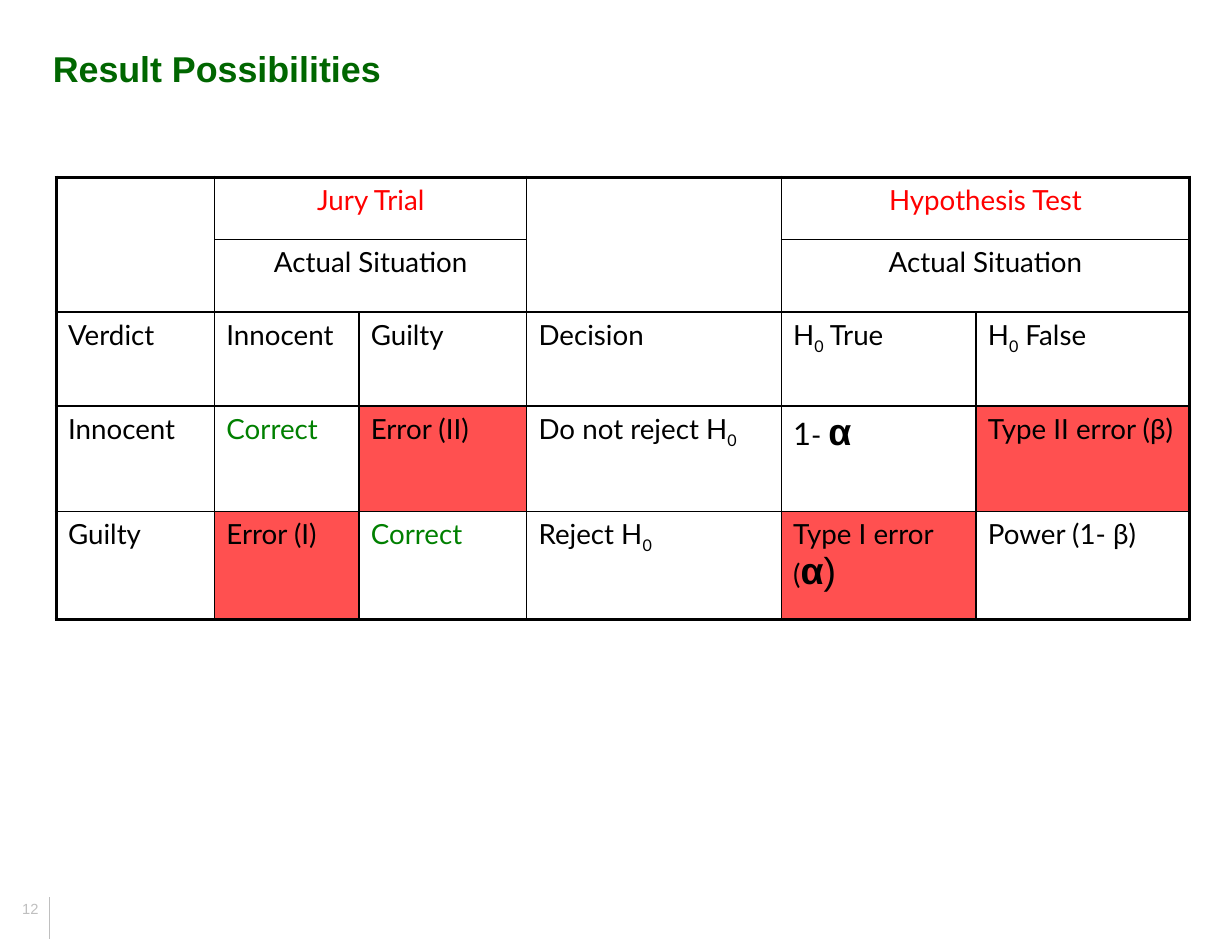
"""Build a slide comparing jury trial verdicts with hypothesis test decisions."""
from dataclasses import dataclass, field
from typing import Optional

from lxml.etree import SubElement
from pptx import Presentation
from pptx.dml.color import RGBColor
from pptx.enum.shapes import MSO_CONNECTOR
from pptx.enum.text import MSO_ANCHOR, PP_ALIGN
from pptx.oxml.ns import qn
from pptx.util import Inches, Pt

BLACK = RGBColor(0x00, 0x00, 0x00)
WHITE = RGBColor(0xFF, 0xFF, 0xFF)
RED = RGBColor(0xFF, 0x00, 0x00)
GREEN = RGBColor(0x00, 0x80, 0x00)
DARK_GREEN = RGBColor(0x00, 0x66, 0x00)
ERROR_RED = RGBColor(0xFF, 0x50, 0x50)
GREY = RGBColor(0xBF, 0xBF, 0xBF)

BODY = {"name": "Lato", "size": Pt(17), "bold": False}
ALPHA = {"name": "Arial", "size": Pt(23), "bold": True}
TITLE = {"name": "Arial", "size": Pt(22), "bold": True}
PAGE = {"name": "Arial", "size": Pt(9), "bold": False}

COLUMNS = [1.35, 1.23, 1.43, 2.17, 1.66, 1.82]
ROWS = [0.53, 0.62, 0.8, 0.9, 0.92]
OUTER, INNER = Pt(2.25), Pt(1)


@dataclass
class Phrase:
    text: str
    style: dict = field(default_factory=dict)
    subscript: bool = False


@dataclass
class Entry:
    row: int
    column: int
    phrases: list[Phrase] = field(default_factory=list)
    color: RGBColor = BLACK
    fill: RGBColor = WHITE
    span: tuple[int, int] = (1, 1)


def plain(row: int, column: int, text: str, **options) -> Entry:
    """Describe a cell with one run of text."""
    return Entry(row, column, [Phrase(text)], **options)


def null_hypothesis(row: int, column: int, before: str, after: str = "") -> Entry:
    """Describe a cell whose text holds H with a subscript zero."""
    phrases = [Phrase(f"{before}H"), Phrase("0", subscript=True)]
    return Entry(row, column, phrases + ([Phrase(after)] if after else []))


ENTRIES = [
    Entry(0, 0, span=(2, 1)),
    plain(0, 1, "Jury Trial", color=RED, span=(1, 2)),
    Entry(0, 3, span=(2, 1)),
    plain(0, 4, "Hypothesis Test", color=RED, span=(1, 2)),
    plain(1, 1, "Actual Situation", span=(1, 2)),
    plain(1, 4, "Actual Situation", span=(1, 2)),
    plain(2, 0, "Verdict"),
    plain(2, 1, "Innocent"),
    plain(2, 2, "Guilty"),
    plain(2, 3, "Decision"),
    null_hypothesis(2, 4, "", " True"),
    null_hypothesis(2, 5, "", " False"),
    plain(3, 0, "Innocent"),
    plain(3, 1, "Correct", color=GREEN),
    plain(3, 2, "Error (II)", fill=ERROR_RED),
    null_hypothesis(3, 3, "Do not reject "),
    Entry(3, 4, [Phrase("1", {"size": Pt(19)}), Phrase("- "), Phrase("α", ALPHA)]),
    plain(3, 5, "Type II error (β)", fill=ERROR_RED),
    plain(4, 0, "Guilty"),
    plain(4, 1, "Error (I)", fill=ERROR_RED),
    plain(4, 2, "Correct", color=GREEN),
    null_hypothesis(4, 3, "Reject "),
    Entry(4, 4, [Phrase("Type I error ("), Phrase("α", ALPHA),
                 Phrase(")", {**ALPHA, "bold": False})], fill=ERROR_RED),
    plain(4, 5, "Power (1- β)"),
]


def write(paragraph, phrases: list[Phrase], base: dict, color: RGBColor,
          alignment: Optional[PP_ALIGN] = PP_ALIGN.LEFT) -> None:
    """Add formatted runs to a paragraph."""
    paragraph.alignment = alignment
    for phrase in phrases:
        run = paragraph.add_run()
        run.text = phrase.text
        for attribute, value in {**base, **phrase.style}.items():
            setattr(run.font, attribute, value)
        run.font.color.rgb = color
        if phrase.subscript:
            run.font._element.set("baseline", "-25000")


def draw_borders(cell, entry: Entry) -> None:
    """Draw heavy lines on the table's rim and light lines inside it."""
    bottom, right = entry.row + entry.span[0], entry.column + entry.span[1]
    on_rim = {"a:lnL": entry.column == 0, "a:lnR": right == len(COLUMNS),
              "a:lnT": entry.row == 0, "a:lnB": bottom == len(ROWS)}
    properties = cell._tc.get_or_add_tcPr()
    for tag, heavy in on_rim.items():
        line = SubElement(properties, qn(tag), w=str(int(OUTER if heavy else INNER)))
        solid = SubElement(line, qn("a:solidFill"))
        SubElement(solid, qn("a:srgbClr"), val=str(BLACK))


def draw_entry(table, entry: Entry) -> None:
    """Merge, border, fill and write one table cell."""
    cell = table.cell(entry.row, entry.column)
    height, width = entry.span
    if entry.span != (1, 1):
        cell.merge(table.cell(entry.row + height - 1, entry.column + width - 1))
    draw_borders(cell, entry)
    cell.fill.solid()
    cell.fill.fore_color.rgb = entry.fill
    alignment = PP_ALIGN.CENTER if width > 1 else PP_ALIGN.LEFT
    write(cell.text_frame.paragraphs[0], entry.phrases, BODY, entry.color, alignment)


def draw_table(slide) -> None:
    """Add the comparison table."""
    table = slide.shapes.add_table(
        len(ROWS), len(COLUMNS), Inches(0.48), Inches(1.51),
        Inches(sum(COLUMNS)), Inches(sum(ROWS))).table
    table.first_row = table.horz_banding = False
    for column, width in zip(table.columns, COLUMNS):
        column.width = Inches(width)
    for row, height in zip(table.rows, ROWS):
        row.height = Inches(height)
    for entry in ENTRIES:
        draw_entry(table, entry)


def draw_title(slide) -> None:
    """Place and write the title."""
    title = slide.shapes.title
    place = {"left": 0.35, "top": 0, "width": 9.8, "height": 1.16}
    for attribute, value in place.items():
        setattr(title, attribute, Inches(value))
    title.text_frame.vertical_anchor = MSO_ANCHOR.MIDDLE
    write(title.text_frame.paragraphs[0], [Phrase("Result Possibilities")],
          TITLE, DARK_GREEN)


def draw_page_mark(slide) -> None:
    """Add the page number and the rule beside it."""
    rule = slide.shapes.add_connector(
        MSO_CONNECTOR.STRAIGHT, Inches(0.42), Inches(8), Inches(0.42), Inches(7.64))
    rule.line.color.rgb = GREY
    rule.line.width = Pt(0.5)
    SubElement(rule._element.spPr, qn("a:effectLst"))
    number = slide.shapes.add_textbox(
        Inches(0.08), Inches(7.31), Inches(0.37), Inches(0.56)).text_frame
    settings = {"word_wrap": True, "vertical_anchor": MSO_ANCHOR.BOTTOM,
                "margin_left": Inches(0.11), "margin_right": Inches(0.11)}
    for attribute, value in settings.items():
        setattr(number, attribute, value)
    write(number.paragraphs[0], [Phrase("12")], PAGE, GREY)


def main() -> None:
    """Build and save the slide."""
    presentation = Presentation()
    presentation.slide_width = Inches(10.5)
    presentation.slide_height = Inches(8)
    slide = presentation.slides.add_slide(presentation.slide_layouts[5])
    draw_page_mark(slide)
    draw_title(slide)
    draw_table(slide)
    presentation.save("out.pptx")


if __name__ == "__main__":
    main()
